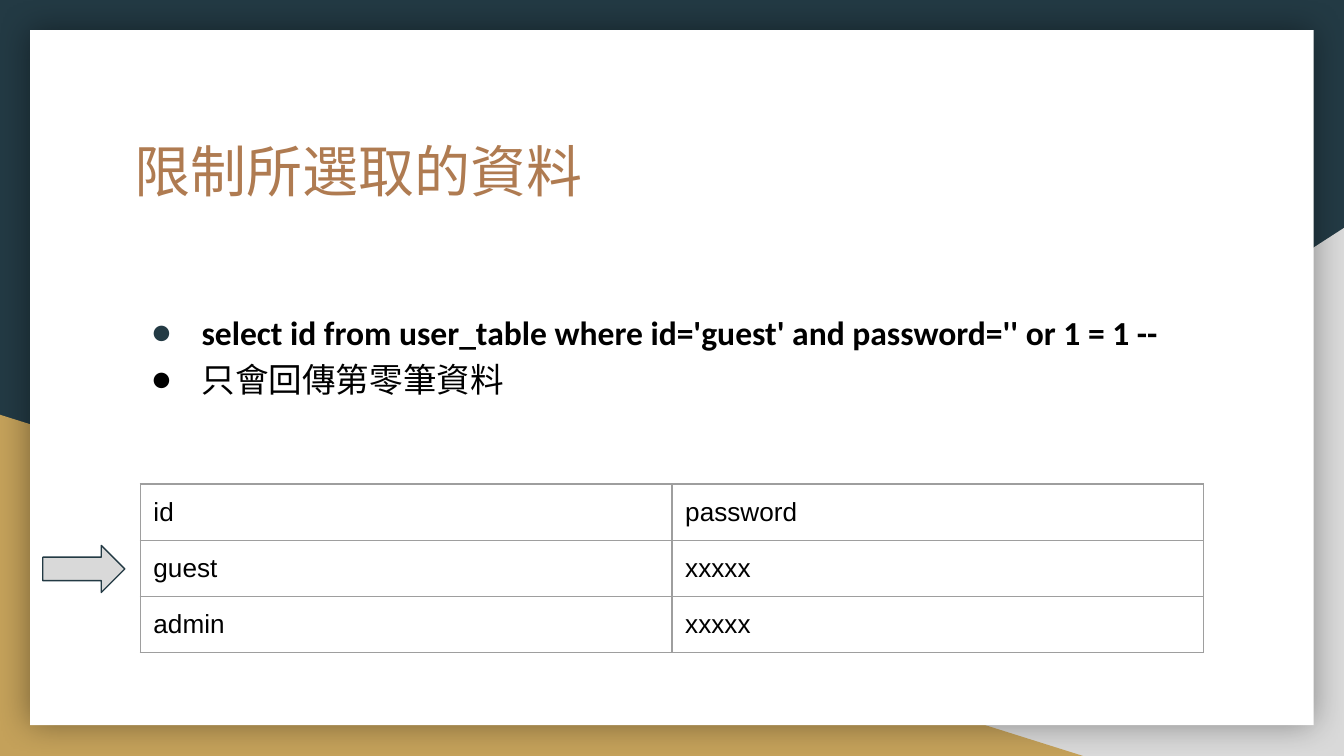
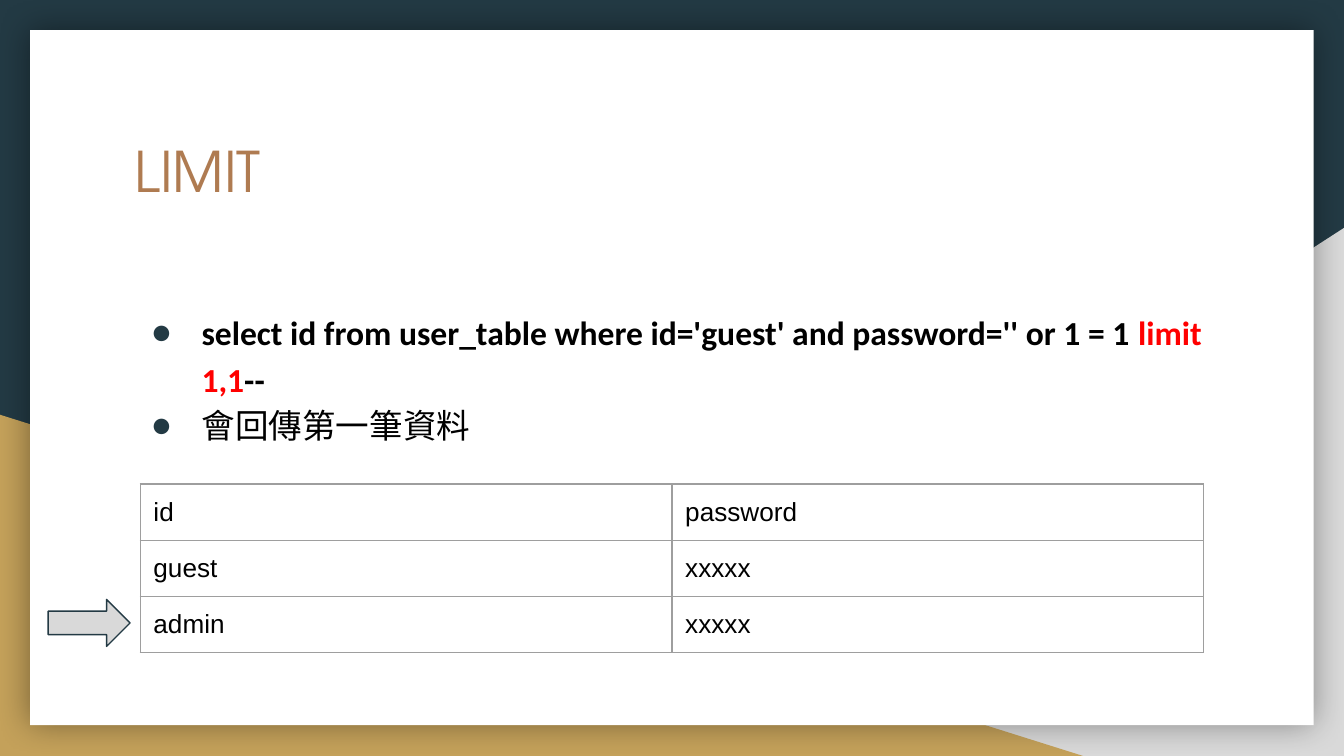
from dataclasses import dataclass

from lxml.etree import SubElement
from pptx import Presentation
from pptx.dml.color import RGBColor
from pptx.enum.shapes import MSO_SHAPE
from pptx.enum.text import MSO_ANCHOR, MSO_AUTO_SIZE, PP_ALIGN
from pptx.oxml.ns import qn
from pptx.util import Cm, Pt


@dataclass(frozen=True)
class Theme:
    navy: str = "233A44"
    gold: str = "C4A15A"
    grey: str = "D9D9D9"
    white: str = "FFFFFF"
    black: str = "000000"
    red: str = "FF0000"
    copper: str = "AF7B51"
    border: str = "9E9E9E"
    title_font: str = "TeX Gyre Adventor"
    body_font: str = "Calibri"
    table_font: str = "Arial"
    title_size: float = 30
    body_size: float = 18
    table_size: float = 14
    line_width: float = 0.75
    inset: float = 0.25


def rgb(color):
    return RGBColor.from_string(color)


def add_node(parent, tag, **attributes):
    return SubElement(parent, qn(tag), {k: str(v) for k, v in attributes.items()})


def add_color(parent, color):
    return add_node(add_node(parent, "a:solidFill"), "a:srgbClr", val=color)


class Deck:
    def __init__(self, theme, width, height):
        self.theme = theme
        self.prs = Presentation()
        self.prs.slide_width, self.prs.slide_height = Cm(width), Cm(height)
        self.layout = self.prs.slide_layouts[5]
        self.s = None

    def new_slide(self, title):
        t = self.theme
        self.s = self.prs.slides.add_slide(self.layout)
        sp = self.s.shapes.title
        self.place(sp, 2.29, 2.34, 20.85, 2.64)
        p = self.frame(sp).paragraphs[0]
        p.alignment = PP_ALIGN.LEFT
        self.run(p, title, t.title_font, t.title_size, t.copper)

    def place(self, sp, left, top, width, height):
        sp.left, sp.top, sp.width, sp.height = map(Cm, (left, top, width, height))

    def frame(self, sp):
        """Give a shape's text frame the shared insets, wrapping and anchor."""
        tf = sp.text_frame
        tf.word_wrap = True
        tf.auto_size = MSO_AUTO_SIZE.NONE
        tf.vertical_anchor = MSO_ANCHOR.TOP
        tf.margin_left = tf.margin_right = Cm(self.theme.inset)
        tf.margin_top = tf.margin_bottom = Cm(self.theme.inset)
        return tf

    def run(self, p, text, font, size, color, bold=False):
        r = p.add_run()
        r.text = text
        r.font.name, r.font.size, r.font.bold = font, Pt(size), bold
        r.font.color.rgb = rgb(color)

    def shape(self, kind, box, fill, line=None):
        sp = self.s.shapes.add_shape(kind, *map(Cm, box))
        sp.shadow.inherit = False
        sp.fill.solid()
        sp.fill.fore_color.rgb = rgb(fill)
        if line:
            sp.line.color.rgb = rgb(line)
            sp.line.width = Pt(self.theme.line_width)
        else:
            sp.line.fill.background()
        return sp

    def backdrop(self):
        """Draw the shared background once and move it to the layout."""
        t = self.theme
        fill = self.layout.background.fill
        fill.solid()
        fill.fore_color.rgb = rgb(t.navy)

        right = self.shape(MSO_SHAPE.RIGHT_TRIANGLE, (9.96, 4.31, 15.44, 9.98), t.grey)
        right.element.spPr.get_or_add_xfrm().set("flipH", "1")
        left = self.shape(MSO_SHAPE.RIGHT_TRIANGLE, (0, 7.84, 20.47, 6.45), t.gold)
        card = self.shape(MSO_SHAPE.RECTANGLE, (0.57, 0.57, 24.26, 13.14), t.white)
        effects = card.element.spPr.find(qn("a:effectLst"))
        shadow = add_node(effects, "a:outerShdw", blurRad=Pt(18), dist=0, dir=0,
                          algn="ctr", rotWithShape=0)
        add_node(add_node(shadow, "a:srgbClr", val=t.black), "a:alpha", val=40000)

        tree = self.layout.shapes.element
        for i, sp in enumerate((right, left, card)):
            sp.element.nvSpPr.cNvPr.set("id", str(101 + i))
            tree.insert(2 + i, sp.element)

    def bullets(self, items):
        """Add bullets given as (bullet colour, bold, [(text, colour), ...])."""
        t = self.theme
        sp = self.s.shapes.add_textbox(0, 0, 0, 0)
        self.place(sp, 2.29, 5.54, 20.85, 6.81)
        tf = self.frame(sp)
        for i, (bullet_color, bold, runs) in enumerate(items):
            p = tf.add_paragraph() if i else tf.paragraphs[0]
            p.line_spacing = 1.15
            pPr = p._p.get_or_add_pPr()
            pPr.set("marL", str(Cm(1.27)))
            pPr.set("indent", str(Cm(-0.95)))
            add_node(add_node(pPr, "a:buClr"), "a:srgbClr", val=bullet_color)
            add_node(pPr, "a:buFont", typeface=t.body_font)
            add_node(pPr, "a:buChar", char="●")
            for text, color in runs:
                self.run(p, text, t.body_font, t.body_size, color, bold)

    def table(self, rows):
        t = self.theme
        col_width, row_height = 10.05, 1.06
        n_rows, n_cols = len(rows), len(rows[0])
        table = self.s.shapes.add_table(
            n_rows, n_cols, Cm(2.65), Cm(9.15),
            Cm(col_width * n_cols), Cm(row_height * n_rows)).table
        table.first_row = table.horz_banding = False
        for i, row in enumerate(rows):
            for j, text in enumerate(row):
                self.cell(table.cell(i, j), text)

    def cell(self, cell, text):
        t = self.theme
        cell.margin_left = cell.margin_right = Cm(t.inset)
        cell.margin_top = cell.margin_bottom = Cm(t.inset)
        self.run(cell.text_frame.paragraphs[0], text, t.table_font, t.table_size, t.black)
        tcPr = cell._tc.get_or_add_tcPr()
        for side in ("a:lnL", "a:lnR", "a:lnT", "a:lnB"):
            add_color(add_node(tcPr, side, w=Pt(t.line_width)), t.border)
        cell.fill.background()

    def row_arrow(self, left, top):
        self.shape(MSO_SHAPE.RIGHT_ARROW, (left, top, 1.55, 0.89),
                   self.theme.grey, self.theme.navy)


def main():
    t = Theme()
    deck = Deck(t, 25.4, 14.29)
    users = [("id", "password"), ("guest", "xxxxx"), ("admin", "xxxxx")]
    query = "select id from user_table where id='guest' and password='' or 1 = 1 "

    deck.new_slide("限制所選取的資料")
    deck.backdrop()
    deck.bullets([
        (t.navy, True, [(query + "--", t.black)]),
        (t.black, False, [("只會回傳第零筆資料", t.black)]),
    ])
    deck.table(users)
    deck.row_arrow(0.81, 10.31)

    deck.new_slide("LIMIT")
    deck.bullets([
        (t.navy, True, [(query, t.black), ("limit 1,1", t.red), ("--", t.black)]),
        (t.navy, False, [("會回傳第一筆資料", t.black)]),
    ])
    deck.table(users)
    deck.row_arrow(0.91, 11.33)

    deck.prs.save("out.pptx")


if __name__ == "__main__":
    main()
